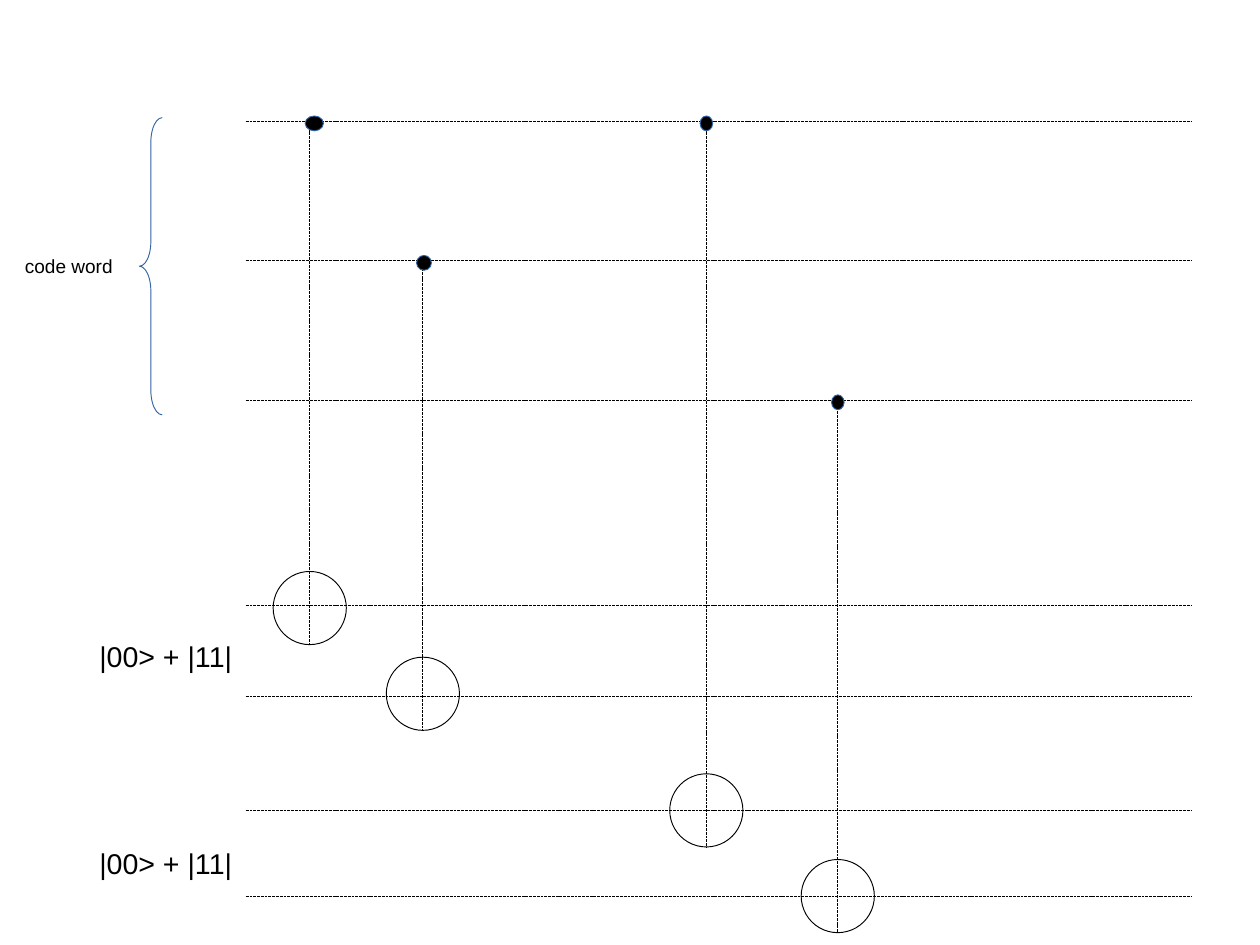
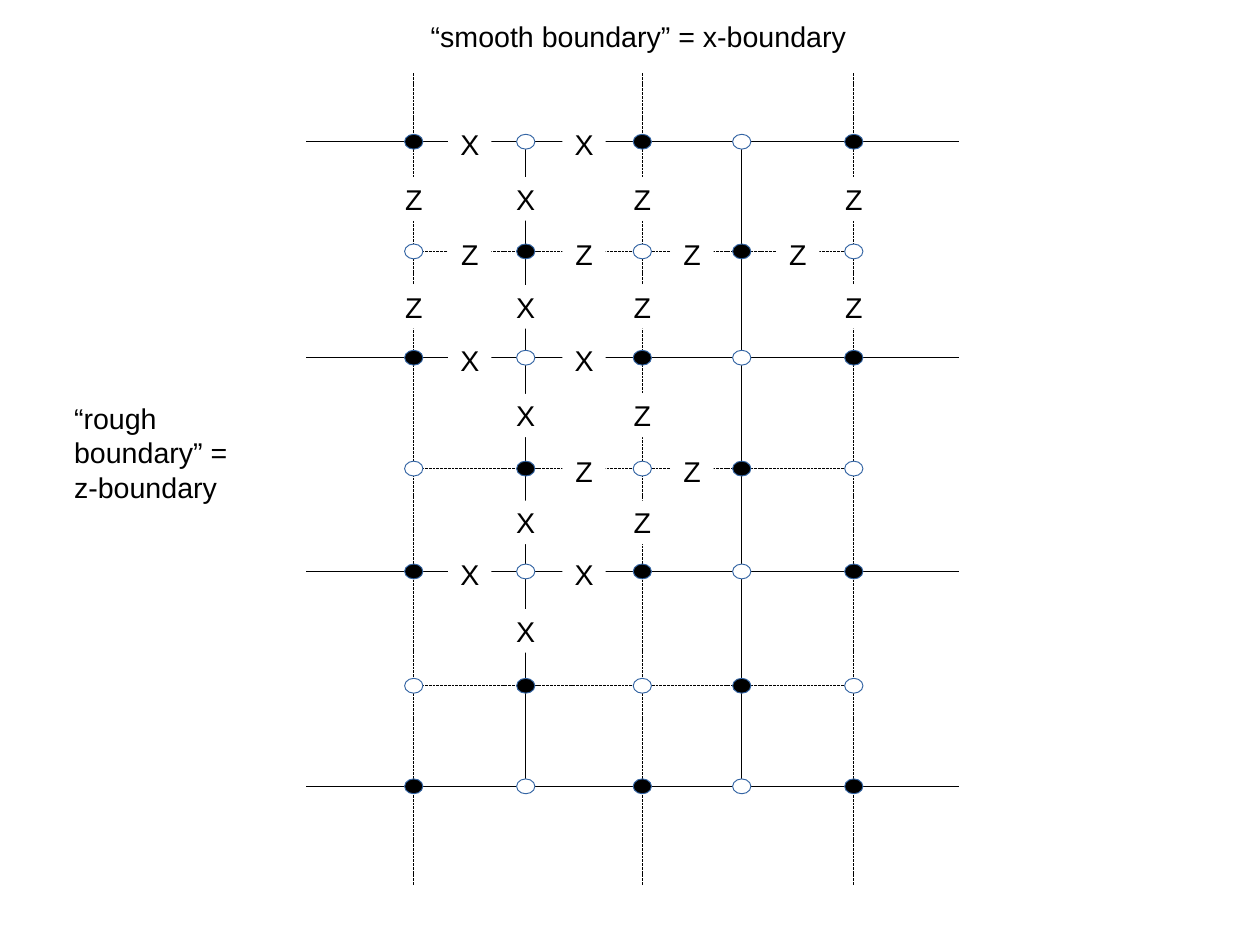
from lxml import etree
from pptx import Presentation
from pptx.dml.color import RGBColor
from pptx.enum.dml import MSO_LINE
from pptx.enum.shapes import MSO_CONNECTOR, MSO_SHAPE
from pptx.enum.text import MSO_ANCHOR, PP_ALIGN
from pptx.oxml.ns import qn
from pptx.util import Cm, Inches, Pt

STRAIGHT = MSO_CONNECTOR.STRAIGHT
ELLIPSE = MSO_SHAPE.OVAL
RECTANGLE = MSO_SHAPE.RECTANGLE
LEFT_BRACE = MSO_SHAPE.LEFT_BRACE
DASH = MSO_LINE.SQUARE_DOT
CENTER = PP_ALIGN.CENTER
MIDDLE = MSO_ANCHOR.MIDDLE
BLACK = RGBColor(0x00, 0x00, 0x00)
WHITE = RGBColor(0xFF, 0xFF, 0xFF)
BLUE = RGBColor(0x34, 0x65, 0xA4)
FONT = "Arial"
HAIRLINE = Pt(0.6)
DOT_WIDTH, DOT_HEIGHT = 0.16, 0.13


def add_line(slide, x1, y1, x2, y2, dashed):
    line = slide.shapes.add_connector(
        STRAIGHT, Inches(x1), Inches(y1), Inches(x2), Inches(y2))
    line.line.color.rgb = BLACK
    line.line.width = HAIRLINE
    if dashed:
        line.line.dash_style = DASH
    etree.SubElement(line._element.spPr, qn("a:effectLst"))


def add_centered(slide, kind, x, y, width, height, fill, outline):
    shape = slide.shapes.add_shape(
        kind, Inches(x - width / 2), Inches(y - height / 2),
        Inches(width), Inches(height))
    shape.shadow.inherit = False
    if fill is None:
        shape.fill.background()
    else:
        shape.fill.solid()
        shape.fill.fore_color.rgb = fill
    if outline is None:
        shape.line.fill.background()
    else:
        shape.line.color.rgb = outline
        shape.line.width = HAIRLINE
    return shape


presentation = Presentation()
presentation.slide_width = Cm(28)
presentation.slide_height = Cm(21)
blank = presentation.slide_layouts[6]
circuit = presentation.slides.add_slide(blank)
lattice = presentation.slides.add_slide(blank)

code_wires = [1.06 + 1.22 * row for row in range(3)]
pair_wires = [5.3, 6.09, 7.09, 7.84]
for y in code_wires + pair_wires:
    add_line(circuit, 2.15, y, 10.43, y, True)

brace = add_centered(circuit, LEFT_BRACE, 1.32, 2.33, 0.2, 2.6, None, BLUE)
brace.adjustments[0] = 1.08

target_size = 0.64
gates = [
    (2.71, 2.75, 0, 5.32, 0.16),
    (3.7, 3.71, 1, 6.07, 0.13),
    (6.18, 6.18, 0, 7.09, 0.11),
    (7.33, 7.33, 2, 7.84, 0.11),
]
for x, dot_x, control, target_y, dot_width in gates:
    top = code_wires[control]
    add_line(circuit, x, top, x, target_y + target_size / 2, True)
    add_centered(circuit, ELLIPSE, x, target_y, target_size, target_size, None, BLACK)
    add_centered(circuit, ELLIPSE, dot_x, top + 0.02, dot_width, DOT_HEIGHT, BLACK, BLUE)

columns = [3.62, 4.6, 5.62, 6.49, 7.47]
rows = [1.24, 2.2, 3.13, 4.1, 5, 6, 6.88]
for y in rows[::2]:
    add_line(lattice, 2.68, y, 8.39, y, False)
for x in columns[1::2]:
    add_line(lattice, x, rows[0], x, rows[-1], False)
for x in columns[::2]:
    add_line(lattice, x, 0.64, x, 7.74, True)
for y in rows[1::2]:
    add_line(lattice, columns[0], y, columns[-1], y, True)

for row, y in enumerate(rows):
    for column, x in enumerate(columns):
        fill = WHITE if (row + column) % 2 else BLACK
        add_centered(lattice, ELLIPSE, x, y, DOT_WIDTH, DOT_HEIGHT, fill, BLUE)

horizontal_edges = ["XX", "ZZZZ", "XX", " ZZ", "XX"]
vertical_edges = ["ZXZ Z", "ZXZ Z", " XZ", " XZ", " X"]
operators = []
for row, letters in enumerate(horizontal_edges):
    for column, letter in enumerate(letters):
        operators.append((letter, (columns[column] + columns[column + 1]) / 2, rows[row]))
for row, letters in enumerate(vertical_edges):
    for column, letter in enumerate(letters):
        operators.append((letter, columns[column], (rows[row] + rows[row + 1]) / 2))

for letter, x, y in operators:
    if letter == " ":
        continue
    shape = add_centered(lattice, RECTANGLE, x, y + 0.02, 0.38, 0.38, WHITE, None)
    frame = shape.text_frame
    frame.text = letter
    frame.word_wrap = False
    frame.vertical_anchor = MIDDLE
    paragraph = frame.paragraphs[0]
    paragraph.alignment = CENTER
    font = paragraph.runs[0].font
    font.name, font.size = FONT, Pt(18)
    font.color.rgb = BLACK

captions = [
    (circuit, "code word", 0.12, 2.18, 1.57, 0.87, 12),
    (circuit, "|00> + |11|", 0.77, 5.54, 1.71, 0.66, 18),
    (circuit, "|00> + |11|", 0.77, 7.35, 1.71, 0.66, 18),
    (lattice, "“smooth boundary” = x-boundary", 3.67, 0.12, 4.31, 0.66, 18),
    (lattice, "“rough\nboundary” =\nz-boundary", 0.55, 3.46, 1.87, 1.22, 18),
]
for slide, text, left, top, width, height, size in captions:
    box = slide.shapes.add_textbox(Inches(left), Inches(top), Inches(width), Inches(height))
    box.text_frame.word_wrap = True
    box.text_frame.text = text
    for paragraph in box.text_frame.paragraphs:
        font = paragraph.runs[0].font
        font.name, font.size = FONT, Pt(size)
        font.color.rgb = BLACK

presentation.save("out.pptx")
